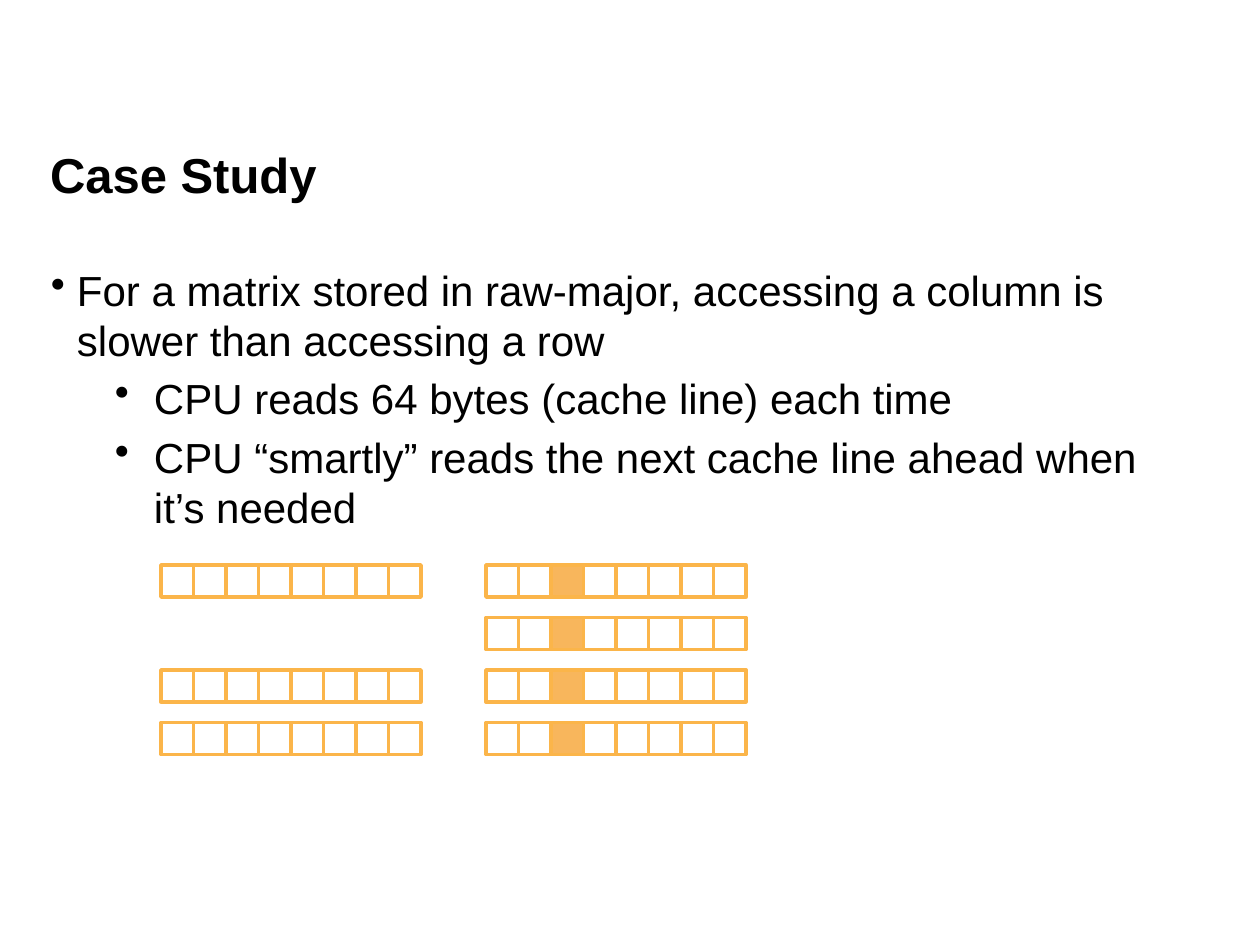
import pptx
import pptx.util
import pptx.dml.color
import pptx.enum.shapes
import pptx.enum.text
import pptx.oxml
import pptx.oxml.ns

PX = 7257.14  # EMU in one px, at 126 px to the inch
BLACK = pptx.dml.color.RGBColor(0x00, 0x00, 0x00)
CELL_LINE = pptx.dml.color.RGBColor(0xFB, 0xB5, 0x4A)
CELL_FILL = pptx.dml.color.RGBColor(0xF8, 0xB6, 0x5C)


def emu(*lengths):
    """Turn px lengths into a list of EMU."""
    return [pptx.util.Emu(round(length * PX)) for length in lengths]


def prepare_frame(shape):
    """Give a text shape zero insets, wrapping and a top anchor."""
    frame = shape.text_frame
    frame.margin_left = frame.margin_right = 0
    frame.margin_top = frame.margin_bottom = 0
    frame.word_wrap = True
    frame.auto_size = pptx.enum.text.MSO_AUTO_SIZE.NONE
    frame.vertical_anchor = pptx.enum.text.MSO_ANCHOR.TOP
    return frame


presentation = pptx.Presentation()
presentation.slide_width, presentation.slide_height = emu(1260, 945)
slide = presentation.slides.add_slide(presentation.slide_layouts[5])

# Title
title = slide.shapes.title
title.left, title.top, title.width, title.height = emu(50, 144, 1110, 60)
title_frame = prepare_frame(title)
title_frame.text = "Case Study"
paragraph = title_frame.paragraphs[0]
paragraph.alignment = pptx.enum.text.PP_ALIGN.LEFT
paragraph.font.name = "Arial"
paragraph.font.size = pptx.util.Pt(28)
paragraph.font.bold = True
paragraph.font.color.rgb = BLACK

# Bullets: text, level, space before in points
bullets = [
    ("For a matrix stored in raw-major, accessing a column is slower than accessing a row", 0, 0),
    ("CPU reads 64 bytes (cache line) each time", 1, 4.5),
    ("CPU “smartly” reads the next cache line ahead when it’s needed", 1, 5.5),
]
INDENTS = [(27, -26), (104, -39)]  # text margin and bullet offset of each level, px

body = slide.shapes.add_textbox(*emu(50, 265, 1110, 275))
body_frame = prepare_frame(body)
for index, (text, level, space_before) in enumerate(bullets):
    paragraph = body_frame.paragraphs[0] if index == 0 else body_frame.add_paragraph()
    paragraph.text = text
    paragraph.level = level
    paragraph.line_spacing = pptx.util.Pt(28.5)
    paragraph.space_before = pptx.util.Pt(space_before)
    properties = paragraph._p.get_or_add_pPr()
    margin, offset = emu(*INDENTS[level])
    properties.set("marL", str(margin))
    properties.set("indent", str(offset))
    properties.append(pptx.oxml.parse_xml(
        f'<a:buChar {pptx.oxml.ns.nsdecls("a")} char="•"/>'))
    paragraph.font.name = "Arial"
    paragraph.font.size = pptx.util.Pt(24)
    paragraph.font.color.rgb = BLACK

# Cache lines: left edge, rows shown, highlighted column
CELLS_PER_LINE = 8
CELL_PITCH = 32.5
ROW_PITCH = 52.5
FIRST_ROW_TOP = 565
CELL_HEIGHT = 32
cache_blocks = [(161, (0, 2, 3), None), (486, (0, 1, 2, 3), 2)]

for block_left, rows, accessed_column in cache_blocks:
    for row in rows:
        for column in range(CELLS_PER_LINE):
            cell = slide.shapes.add_shape(
                pptx.enum.shapes.MSO_SHAPE.RECTANGLE,
                *emu(block_left + column * CELL_PITCH, FIRST_ROW_TOP + row * ROW_PITCH,
                     CELL_PITCH, CELL_HEIGHT))
            cell.shadow.inherit = False
            cell.line.color.rgb = CELL_LINE
            cell.line.width = pptx.util.Pt(2)
            if column == accessed_column:
                cell.fill.solid()
                cell.fill.fore_color.rgb = CELL_FILL
            else:
                cell.fill.background()

presentation.save("out.pptx")
